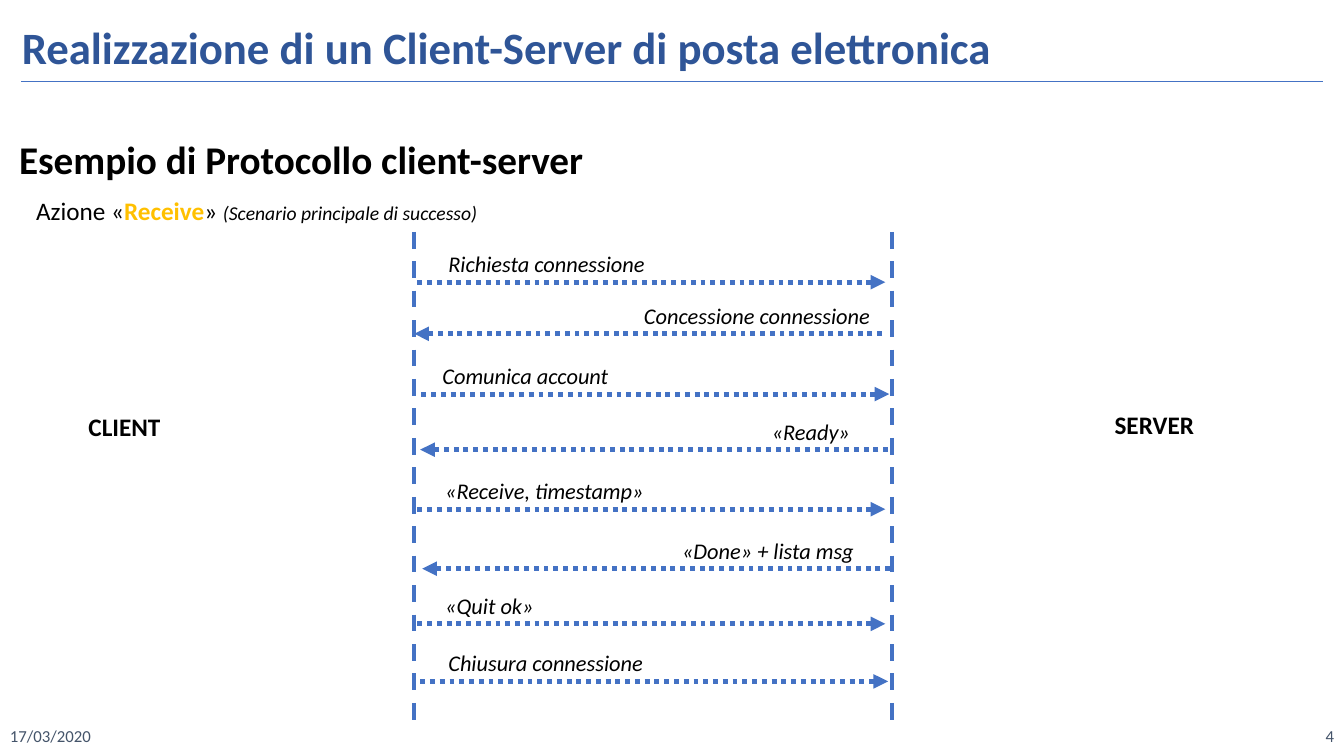
import pptx
import pptx.dml.color
import pptx.enum.dml
import pptx.enum.shapes
import pptx.enum.text
import pptx.oxml.ns
import pptx.util

Cm = pptx.util.Cm
RGBColor = pptx.dml.color.RGBColor
Align = pptx.enum.text.PP_ALIGN
Anchor = pptx.enum.text.MSO_ANCHOR
Dash = pptx.enum.dml.MSO_LINE

BLUE = RGBColor(0x44, 0x72, 0xC4)
TITLE_BLUE = RGBColor(0x2F, 0x55, 0x97)
GOLD = RGBColor(0xFF, 0xC0, 0x00)
SLATE = RGBColor(0x44, 0x54, 0x6A)
BLACK = RGBColor(0, 0, 0)

SLIDE_W, SLIDE_H = 33.87, 19.05
ARROW_LENGTH = 11.79

# text, rightward, arrow y, arrow left end, label left (cm within the diagram)
MESSAGES = [
    ("Richiesta connessione", True, 1.27, 0.08, 0.61),
    ("Concessione connessione", False, 2.57, 0, 5.54),
    ("Comunica account", True, 4.09, 0.18, 0.46),
    ("«Ready»", False, 5.49, 0.15, 8.76),
    ("«Receive, timestamp»", True, 6.99, 0.08, 0.53),
    ("«Done» + lista msg", False, 8.49, 0.2, 6.5),
    ("«Quit ok»", True, 9.88, 0.08, 0.53),
    ("Chiusura connessione", True, 11.33, 0.15, 0.61),
]


def add_text(s, box, runs, anchor=Anchor.TOP, align=Align.LEFT):
    """Add one paragraph; each run is its text and a dict of font values."""
    tf = s.shapes.add_textbox(*map(Cm, box)).text_frame
    tf.word_wrap = True
    tf.vertical_anchor = anchor
    p = tf.paragraphs[0]
    p.alignment = align
    for text, style in runs:
        r = p.add_run()
        r.text = text
        values = {"name": "Calibri", "size": 18, "color": BLACK, **style}
        r.font.color.rgb = values.pop("color")
        values["size"] = pptx.util.Pt(values["size"])
        for name, value in values.items():
            setattr(r.font, name, value)


def add_line(s, ends, width, dash=None, arrow=False):
    line = s.shapes.add_connector(
        pptx.enum.shapes.MSO_CONNECTOR.STRAIGHT, *map(Cm, ends))
    line.line.color.rgb = BLUE
    line.line.width = pptx.util.Pt(width)
    if dash:
        line.line.dash_style = dash
    qn = pptx.oxml.ns.qn
    if arrow:
        ln = line.line._get_or_add_ln()
        ln.append(ln.makeelement(qn("a:tailEnd"), {"type": "triangle"}))
    sp_pr = line._element.spPr
    sp_pr.append(sp_pr.makeelement(qn("a:effectLst"), {}))


def add_header(s, left, top, width, height):
    add_text(s, (left, top, width, height), [
        ("Realizzazione di un Client-Server di posta elettronica",
         {"size": 32, "color": TITLE_BLUE, "bold": True})])
    y = top + height + 0.05
    add_line(s, (left + 0.23, y, left + width - 0.23, y), 0.5)


def add_introduction(s, left, top, width):
    add_text(s, (left, top, width, 1.45), [
        ("Esempio di Protocollo client-server", {"size": 28, "bold": True})])
    add_text(s, (left + 0.43, top + 1.52, 13.56, 1.02), [
        ("Azione «", {}),
        ("Receive", {"color": GOLD, "bold": True}),
        ("» ", {}),
        ("(Scenario principale di successo)", {"size": 14, "italic": True})])


def add_actor(s, left, top, width, name):
    add_text(s, (left, top, width, 1.02), [(name, {"bold": True})])


def add_sequence(s, left, top, width, height):
    """Draw both lifelines and the labelled messages between them."""
    for x in (left, left + width):
        add_line(s, (x, top, x, top + height), 3, Dash.DASH)
    for text, rightward, y, arrow_x, label_x in MESSAGES:
        y += top
        start = left + arrow_x
        end = start + ARROW_LENGTH
        if not rightward:
            start, end = end, start
        add_line(s, (start, y, end, y), 3.5, Dash.ROUND_DOT, arrow=True)
        label_width = 7.75 if rightward else width - label_x
        add_text(s, (left + label_x, y - 0.93, label_width, 0.94),
                 [(text, {"size": 16, "italic": True})])


def add_footer(s, left, top, width, height):
    style = {"size": 12, "color": SLATE}
    part = 7.62
    add_text(s, (left, top, part, height), [("17/03/2020", style)],
             Anchor.MIDDLE)
    add_text(s, (left + width - part, top, part, height), [("4", style)],
             Anchor.MIDDLE, Align.RIGHT)


def main():
    prs = pptx.Presentation()
    prs.slide_width, prs.slide_height = Cm(SLIDE_W), Cm(SLIDE_H)
    s = prs.slides.add_slide(prs.slide_layouts[6])
    add_footer(s, 0, 18.03, SLIDE_W, 1.02)
    add_introduction(s, 0.23, 3.28, 18.16)
    add_actor(s, 1.98, 10.24, 2.34, "CLIENT")
    add_actor(s, 27.84, 10.19, 2.79, "SERVER")
    add_sequence(s, 10.44, 5.84, 12.04, 12.42)
    add_header(s, 0.3, 0.38, 33.27, 1.63)
    prs.save("out.pptx")


if __name__ == "__main__":
    main()
